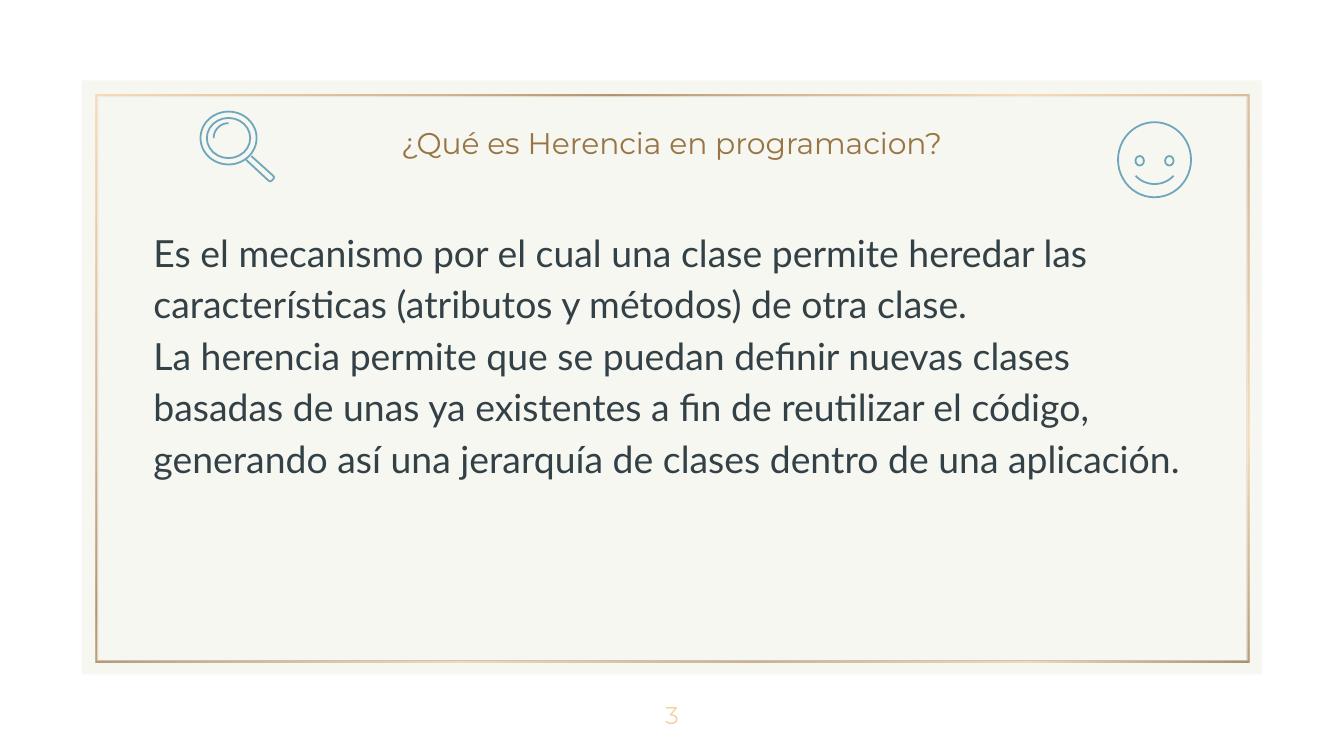
import math
from dataclasses import dataclass

from lxml import etree
from pptx import Presentation
from pptx import util as u
from pptx.dml.color import RGBColor
from pptx.enum import shapes, text
from pptx.oxml.ns import qn


@dataclass(frozen=True)
class Theme:
    panel: str = "F5F6F0"
    bronze: str = "997545"
    gold: str = "C59F72"
    cream: str = "F6D2A2"
    ink: str = "334147"
    icon: str = "6EA7BB"
    heading_font: str = "Montserrat"
    body_font: str = "Lato"
    title_size: float = 16
    body_size: float = 20
    number_size: float = 13
    icon_line: float = 0.96


class SlideBuilder:
    def __init__(self, slide, theme):
        self.slide = slide
        self.theme = theme

    def _alpha(self, color, percent):
        etree.SubElement(color, qn("a:alpha"), val=str(percent * 1000))

    def _shape(self, preset, left, top, width, height):
        shape = self.slide.shapes.add_shape(
            preset, u.Cm(left), u.Cm(top), u.Cm(width), u.Cm(height))
        shape.shadow.inherit = False
        return shape

    def _outline(self, shape):
        shape.shadow.inherit = False
        shape.fill.background()
        shape.line.color.rgb = RGBColor.from_string(self.theme.icon)
        shape.line.width = u.Pt(self.theme.icon_line)

    def panel(self, left, top, width, height, opacity):
        panel = self._shape(shapes.MSO_SHAPE.RECTANGLE, left, top, width, height)
        panel.fill.solid()
        panel.fill.fore_color.rgb = RGBColor.from_string(self.theme.panel)
        panel.line.fill.background()
        self._alpha(panel.element.spPr.find(".//" + qn("a:srgbClr")), opacity)

    def gilded_frame(self, left, top, width, height, stops, opacity):
        frame = self._shape(shapes.MSO_SHAPE.FRAME, left, top, width, height)
        frame.adjustments[0] = 0.004
        frame.line.fill.background()
        frame.fill.gradient()
        frame.fill.gradient_angle = 315
        stop_list = frame.element.spPr.find(".//" + qn("a:gsLst"))
        stop_list.clear()
        for position, color in stops:
            stop = etree.SubElement(stop_list, qn("a:gs"), pos=str(position * 1000))
            self._alpha(etree.SubElement(stop, qn("a:srgbClr"), val=color), opacity)

    def _set_text(self, box, paragraphs, font, size, color, align, anchor, spacing=1.0):
        frame = box.text_frame
        frame.word_wrap = True
        frame.auto_size = text.MSO_AUTO_SIZE.NONE
        frame.vertical_anchor = anchor
        frame.margin_left = frame.margin_right = 0
        frame.margin_top = frame.margin_bottom = 0
        frame.text = "\n".join(paragraphs)
        for paragraph in frame.paragraphs:
            props = paragraph._p.get_or_add_pPr()
            props.set("marL", "0")
            props.set("indent", "0")
            etree.SubElement(props, qn("a:buNone"))
            paragraph.alignment = align
            paragraph.line_spacing = spacing
            paragraph.space_before = u.Pt(0)
            for run in paragraph.runs:
                run.font.name = font
                run.font.size = u.Pt(size)
                run.font.color.rgb = RGBColor.from_string(color)

    def placeholder(self, index, left, top, width, height, paragraphs, **style):
        box = self.slide.placeholders[index]
        box.left, box.top = u.Cm(left), u.Cm(top)
        box.width, box.height = u.Cm(width), u.Cm(height)
        # Bring the text in front of the panel
        self.slide.shapes.element.append(box.element)
        self._set_text(box, paragraphs, **style)

    def text_box(self, left, top, width, height, paragraphs, **style):
        box = self.slide.shapes.add_textbox(
            u.Cm(left), u.Cm(top), u.Cm(width), u.Cm(height))
        self._set_text(box, paragraphs, **style)

    def ring(self, x, y, rx, ry):
        self._outline(self._shape(
            shapes.MSO_SHAPE.OVAL, x - rx, y - ry, 2 * rx, 2 * ry))

    def stroke(self, points):
        start, *rest = [(u.Cm(x), u.Cm(y)) for x, y in points]
        builder = self.slide.shapes.build_freeform(*start)
        builder.add_line_segments(rest, close=False)
        self._outline(builder.convert_to_shape())

    def arc(self, x, y, radius, start, end, steps=24):
        angles = [math.radians(start + (end - start) * i / steps)
                  for i in range(steps + 1)]
        self.stroke([(x + radius * math.cos(a), y + radius * math.sin(a))
                     for a in angles])


def main():
    theme = Theme()
    deck = Presentation()
    deck.slide_width, deck.slide_height = u.Cm(25.4), u.Cm(14.29)
    page = SlideBuilder(deck.slides.add_slide(deck.slide_layouts[1]), theme)

    # Background panel and gilded frame
    page.panel(1.55, 1.52, 22.3, 11.23, opacity=87)
    gilding = [(0, theme.cream), (20, theme.gold), (30, theme.bronze),
               (39, theme.gold), (54, theme.cream), (71, theme.gold),
               (87, theme.cream), (100, theme.bronze)]
    page.gilded_frame(1.8, 1.78, 21.82, 10.74, gilding, opacity=80)

    # Question and answer
    page.placeholder(
        0, 2.9, 1.78, 19.6, 1.93, ["¿Qué es Herencia en programacion?"],
        font=theme.heading_font, size=theme.title_size, color=theme.bronze,
        align=text.PP_ALIGN.CENTER, anchor=text.MSO_ANCHOR.MIDDLE, spacing=0.9)
    definition = [
        "Es el mecanismo por el cual una clase permite heredar las "
        "características (atributos y métodos) de otra clase.",
        "La herencia permite que se puedan definir nuevas clases basadas de "
        "unas ya existentes a fin de reutilizar el código, generando así una "
        "jerarquía de clases dentro de una aplicación.",
    ]
    page.placeholder(
        1, 2.9, 4.22, 19.6, 5.87, definition,
        font=theme.body_font, size=theme.body_size, color=theme.ink,
        align=text.PP_ALIGN.LEFT, anchor=text.MSO_ANCHOR.TOP, spacing=1.15)

    # Page number
    page.text_box(
        11.94, 12.75, 1.52, 1.52, ["3"],
        font=theme.heading_font, size=theme.number_size, color=theme.cream,
        align=text.PP_ALIGN.CENTER, anchor=text.MSO_ANCHOR.MIDDLE)

    # Smiling face
    face_x, face_y = 21.82, 3.02
    page.ring(face_x, face_y, 0.69, 0.71)
    for side in (1, -1):
        page.ring(face_x + side * 0.28, face_y + 0.02, 0.08, 0.09)
    page.arc(face_x, face_y - 0.03, 0.49, 43, 137)

    # Magnifying glass
    lens_x, lens_y = 4.32, 2.61
    for rx, ry in ((0.53, 0.5), (0.41, 0.38)):
        page.ring(lens_x, lens_y, rx, ry)
    page.arc(lens_x, lens_y, 0.28, 180, 270)
    page.stroke([(4.65, 3.02), (5.07, 3.41), (5.1, 3.43), (5.13, 3.42),
                 (5.17, 3.38), (5.18, 3.35), (5.16, 3.32), (4.75, 2.95)])

    deck.save("out.pptx")


if __name__ == "__main__":
    main()
